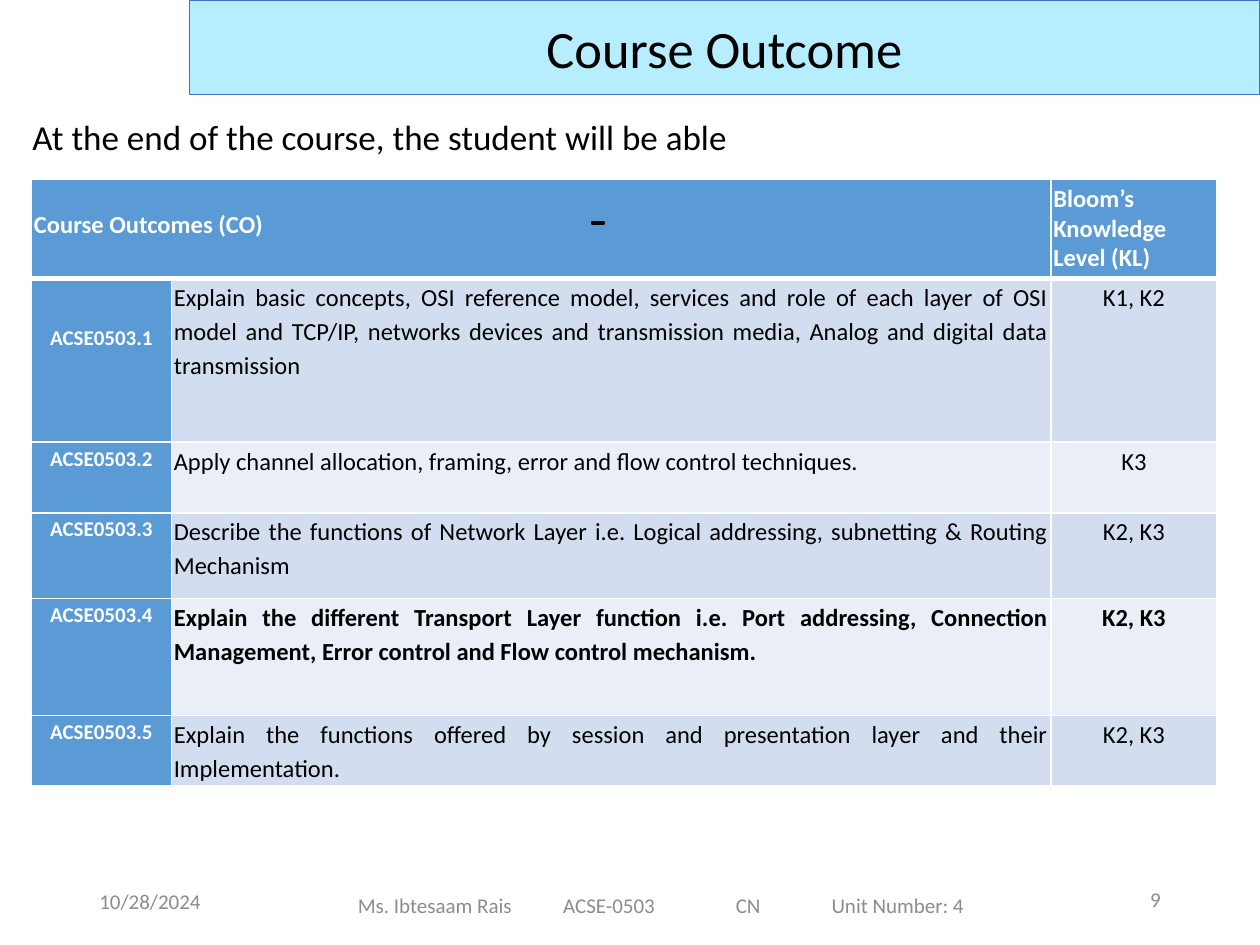
"""Build the Course Outcome slide with its outcome table and footer."""
from lxml.etree import SubElement
from pptx import Presentation
from pptx.dml.color import RGBColor
from pptx.enum.shapes import MSO_SHAPE as Shape
from pptx.enum.text import MSO_ANCHOR as Anchor, PP_ALIGN as Align
from pptx.oxml.ns import qn
from pptx.util import Inches, Pt

COLORS = {
    "title_fill": "B7EEFF", "title_line": "4472C4", "header": "5B9BD5",
    "odd": "D2DEEF", "even": "EAEFF7", "text": "000000",
    "footer": "8C8C8C", "white": "FFFFFF",
}
HEADER = ("Course Outcomes (CO)", "Bloom’s Knowledge Level (KL)")
OUTCOMES = [
    ("ACSE0503.1", "Explain basic concepts, OSI reference model, services and role of each "
     "layer of OSI model and TCP/IP, networks devices and transmission media, Analog and "
     "digital data transmission", "K1, K2"),
    ("ACSE0503.2", "Apply channel allocation, framing, error and flow control techniques.", "K3"),
    ("ACSE0503.3", "Describe the functions of Network Layer i.e. Logical addressing, "
     "subnetting & Routing Mechanism", "K2, K3"),
    ("ACSE0503.4", "Explain the different Transport Layer function i.e. Port addressing, "
     "Connection Management, Error control and Flow control mechanism.", "K2, K3"),
    ("ACSE0503.5", "Explain the functions offered by session and presentation layer and their "
     "Implementation.", "K2, K3"),
]
CURRENT_OUTCOME = "ACSE0503.4"
FOOTER = ("Ms. Ibtesaam Rais", "ACSE-0503", "CN", "Unit Number: 4")
FOOTER_TABS = (1.63, 3.0, 3.76)
COLUMN_WIDTHS = (1.11, 6.98, 1.32)
ROW_HEIGHTS = (0.79, 1.3, 0.56, 0.68, 0.93, 0.56)


def color(name):
    return RGBColor.from_string(COLORS[name])


def write(text_frame, text, size, color_name, align=Align.LEFT, bold=False):
    text_frame.text = text
    paragraph = text_frame.paragraphs[0]
    paragraph.alignment = align
    for run in paragraph.runs:
        run.font.name = "Calibri"
        run.font.size = Pt(size)
        run.font.bold = bold
        run.font.color.rgb = color(color_name)
    return paragraph


def add_text(slide, box, text, size, color_name, align=Align.LEFT, anchor=Anchor.MIDDLE, wrap=True):
    text_frame = slide.shapes.add_textbox(*map(Inches, box)).text_frame
    text_frame.word_wrap = wrap
    text_frame.vertical_anchor = anchor
    write(text_frame, text, size, color_name, align)
    return text_frame


def add_rectangle(slide, box, line_name, line_width):
    shape = slide.shapes.add_shape(Shape.RECTANGLE, *map(Inches, box))
    shape.shadow.inherit = False
    shape.fill.background()
    shape.line.color.rgb = color(line_name)
    shape.line.width = Pt(line_width)
    return shape


def style_cell(cell, fill_name, side_margin=0.02, top=0, bottom=0, anchor=Anchor.TOP, widths=(1, 1)):
    cell.margin_left = cell.margin_right = Inches(side_margin)
    cell.margin_top, cell.margin_bottom = Inches(top), Inches(bottom)
    cell.vertical_anchor = anchor
    properties = cell._tc.get_or_add_tcPr()
    for side, width in zip("LRTB", (1, 1, *widths)):
        line = SubElement(properties, qn(f"a:ln{side}"), w=str(Pt(width)))
        fill = SubElement(line, qn("a:solidFill"))
        SubElement(fill, qn("a:srgbClr"), val=COLORS["white"])
    cell.fill.solid()
    cell.fill.fore_color.rgb = color(fill_name)


def add_outcome_table(slide):
    box = (0.25, 1.42, sum(COLUMN_WIDTHS), sum(ROW_HEIGHTS))
    table = slide.shapes.add_table(len(ROW_HEIGHTS), len(COLUMN_WIDTHS), *map(Inches, box)).table
    for column, width in zip(table.columns, COLUMN_WIDTHS):
        column.width = Inches(width)
    for row, height in zip(table.rows, ROW_HEIGHTS):
        row.height = Inches(height)

    table.cell(0, 0).merge(table.cell(0, 1))
    for index, bottom in enumerate((0.06, 0.06, 0)):
        style_cell(table.cell(0, index), "header", bottom=bottom, anchor=Anchor.MIDDLE, widths=(1, 3))
    for index, text in zip((0, 2), HEADER):
        write(table.cell(0, index).text_frame, text, 14, "white", bold=True)

    for number, (code, outcome, level) in enumerate(OUTCOMES, 1):
        band = "odd" if number % 2 else "even"
        widths = (3, 1) if number == 1 else (1, 1)
        bold = code == CURRENT_OUTCOME
        code_cell, outcome_cell, level_cell = (table.cell(number, index) for index in range(3))
        style_cell(code_cell, "header", 0.07, top=0.34 if number == 1 else 0, widths=widths)
        style_cell(outcome_cell, band, widths=widths)
        style_cell(level_cell, band, widths=widths)
        paragraphs = (
            write(code_cell.text_frame, code, 12, "white", Align.CENTER, True),
            write(outcome_cell.text_frame, outcome, 14, "text", Align.JUSTIFY, bold),
            write(level_cell.text_frame, level, 14, "text", Align.CENTER, bold),
        )
        for paragraph in paragraphs:
            paragraph.line_spacing = 1.15


def add_footer(slide):
    add_text(slide, (0.69, 6.95, 1.13, 0.4), "10/28/2024", 12, "footer")
    add_text(slide, (8.69, 6.94, 0.62, 0.4), "9", 12, "footer", Align.RIGHT)
    text_frame = add_text(slide, (2.5, 6.98, 5.5, 0.4), "\t".join(FOOTER), 12, "footer")
    text_frame.margin_left = Inches(0.34)
    tabs = SubElement(text_frame.paragraphs[0]._p.get_or_add_pPr(), qn("a:tabLst"))
    for position in FOOTER_TABS:
        SubElement(tabs, qn("a:tab"), pos=str(Inches(position)), algn="l")


def main():
    presentation = Presentation()
    presentation.slide_width, presentation.slide_height = Inches(10), Inches(7.5)
    slide = presentation.slides.add_slide(presentation.slide_layouts[6])

    title = add_rectangle(slide, (1.5, 0, 8.5, 0.75), "title_line", 0.5)
    title.fill.solid()
    title.fill.fore_color.rgb = color("title_fill")
    title.text_frame.vertical_anchor = Anchor.MIDDLE
    write(title.text_frame, "Course Outcome", 30, "text", Align.CENTER)
    add_text(slide, (0.16, 0.87, 5.77, 0.44), "At the end of the course, the student will be able",
             20, "text", anchor=Anchor.TOP, wrap=False)
    add_outcome_table(slide)
    add_rectangle(slide, (4.7, 1.76, 0.09, 0.02), "text", 1.42)
    add_footer(slide)
    presentation.save("out.pptx")


if __name__ == "__main__":
    main()
